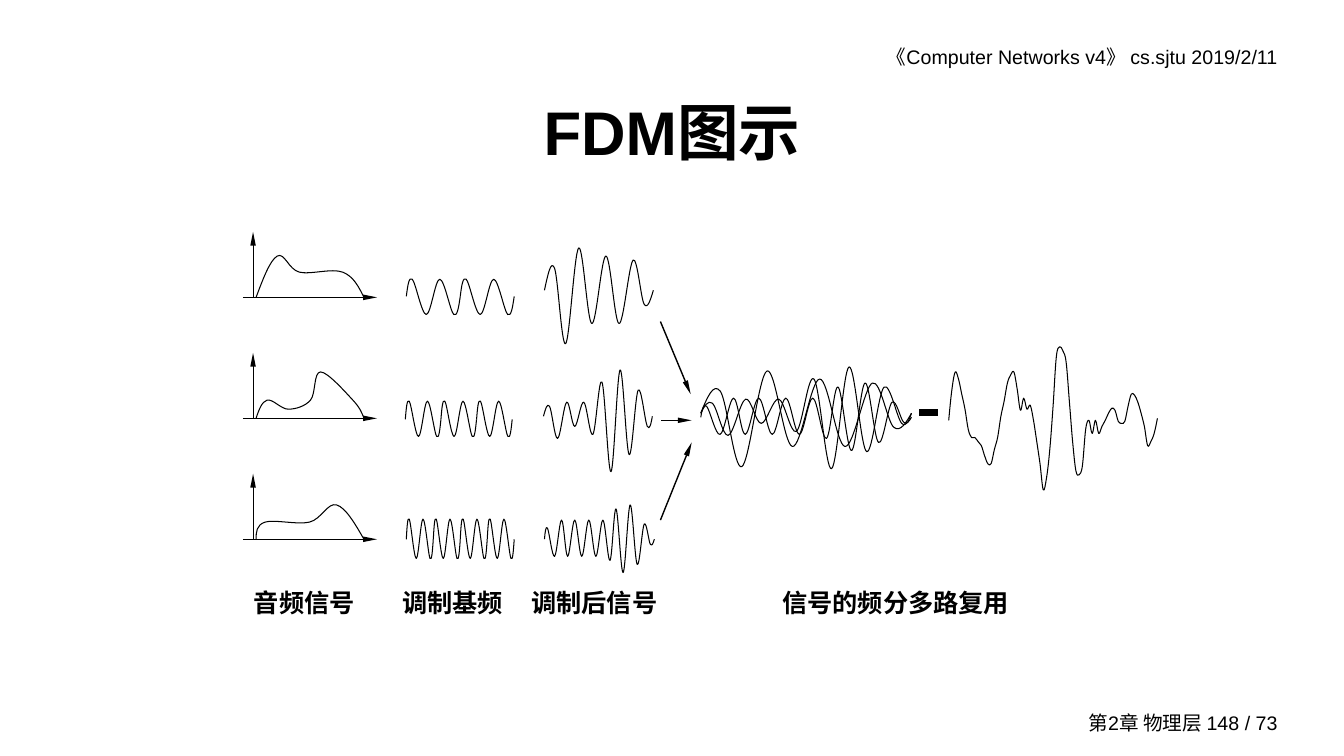
from lxml import etree
from pptx import Presentation
from pptx.dml.color import RGBColor
from pptx.enum.shapes import MSO_CONNECTOR
from pptx.enum.text import MSO_ANCHOR, PP_ALIGN
from pptx.oxml.ns import qn
from pptx.util import Inches, Pt

BLACK = RGBColor(0, 0, 0)
WHITE = RGBColor(255, 255, 255)
STRAIGHT = MSO_CONNECTOR.STRAIGHT
LEFT, CENTER, RIGHT = PP_ALIGN.LEFT, PP_ALIGN.CENTER, PP_ALIGN.RIGHT
TOP, MIDDLE = MSO_ANCHOR.TOP, MSO_ANCHOR.MIDDLE

prs = Presentation()
prs.slide_width, prs.slide_height = Inches(13.33), Inches(7.5)
slide = prs.slides.add_slide(prs.slide_layouts[6])
slide.background.fill.solid()
slide.background.fill.fore_color.rgb = WHITE


def add_curve(points):
    """Draw a smooth open curve (Catmull-Rom) through points in inches."""
    emu_points = [(Inches(x), Inches(y)) for x, y in points]
    builder = slide.shapes.build_freeform(*emu_points[0])
    builder.add_line_segments(emu_points[1:], close=False)
    curve = builder.convert_to_shape()
    curve.shadow.inherit = False
    curve.fill.background()
    curve.line.color.rgb = BLACK
    curve.line.width = Pt(0.75)

    # Turn each straight piece into a Bezier piece
    local = [(int(pt.get("x")), int(pt.get("y"))) for pt in curve._element.iter(qn("a:pt"))]
    last = len(local) - 1
    for i, piece in enumerate(list(curve._element.iter(qn("a:lnTo")))):
        before, start = local[max(i - 1, 0)], local[i]
        end, after = local[i + 1], local[min(i + 2, last)]
        leave = [s + (e - b) / 6 for b, s, e in zip(before, start, end)]
        arrive = [e - (a - s) / 6 for s, e, a in zip(start, end, after)]
        if i == 0:
            leave = [(s + c) / 2 for s, c in zip(start, arrive)]
        if i == last - 1:
            arrive = [(e + c) / 2 for e, c in zip(end, leave)]
        bezier = etree.Element(qn("a:cubicBezTo"))
        for x, y in (leave, arrive, end):
            etree.SubElement(bezier, qn("a:pt"), x=str(round(x)), y=str(round(y)))
        piece.getparent().replace(piece, bezier)


# Header, footer, title and column labels
CAPTIONS = [
    ("《Computer Networks v4》 cs.sjtu 2019/2/11", 7.03, 0.4, 5.74, 0.34, 14, False, RIGHT, TOP),
    ("第2章 物理层 148 / 73", 9.76, 7, 3.01, 0.33, 14, False, RIGHT, MIDDLE),
    ("FDM图示", 1, 0.67, 11.33, 1.25, 44, True, CENTER, MIDDLE),
    ("音频信号", 2.42, 5.78, 1.26, 0.4, 18, True, LEFT, TOP),
    ("调制基频", 3.89, 5.78, 1.26, 0.4, 18, True, LEFT, TOP),
    ("调制后信号", 5.17, 5.78, 1.49, 0.4, 18, True, LEFT, TOP),
    ("信号的频分多路复用", 7.66, 5.78, 2.75, 0.4, 18, True, LEFT, TOP),
]
for text, x, y, width, height, size, bold, align, anchor in CAPTIONS:
    caption = slide.shapes.add_textbox(Inches(x), Inches(y), Inches(width), Inches(height))
    frame = caption.text_frame
    frame.word_wrap = True
    frame.vertical_anchor = anchor
    frame.text = text
    paragraph = frame.paragraphs[0]
    paragraph.alignment = align
    font = paragraph.runs[0].font
    font.name, font.size, font.bold = "Arial", Pt(size), bold
    font.color.rgb = BLACK

# Axes of the audio spectra, arrows into the multiplexer, and the thick bar
straight_lines = []
for baseline in (2.95, 4.15, 5.35):
    straight_lines += [
        (2.51, baseline, 2.51, baseline - 0.65, 0.75, True),
        (2.41, baseline, 3.74, baseline, 0.75, True),
    ]
straight_lines += [
    (6.55, 3.19, 6.85, 3.91, 1, True),
    (6.56, 4.17, 6.86, 4.17, 1, True),
    (6.55, 5.16, 6.86, 4.39, 1, True),
    (9.12, 4.09, 9.3, 4.09, 5, False),
]
for x1, y1, x2, y2, weight, has_arrow in straight_lines:
    link = slide.shapes.add_connector(STRAIGHT, Inches(x1), Inches(y1), Inches(x2), Inches(y2))
    link.line.color.rgb = BLACK
    link.line.width = Pt(weight)
    if has_arrow:
        etree.SubElement(link.line._get_or_add_ln(), qn("a:tailEnd"),
                         type="triangle", w="sm", len="lg")
    etree.SubElement(link._element.spPr, qn("a:effectLst"))

# Audio signals
AUDIO_SPECTRA = [
    [(2.54, 2.95), (2.75, 2.54), (2.97, 2.7), (3.4, 2.7), (3.61, 2.95)],
    [(2.54, 4.15), (2.65, 3.97), (2.86, 4.06), (3.08, 3.97), (3.18, 3.69),
     (3.5, 3.97), (3.61, 4.15)],
    [(2.54, 5.35), (2.63, 5.18), (3.07, 5.18), (3.34, 5.01), (3.61, 5.35)],
]
for spectrum in AUDIO_SPECTRA:
    add_curve(spectrum)

# Carriers: equal tiles of two periods each
TILE_FRACTIONS = (0, 0.11, 0.37, 0.62, 0.88, 1)
CARRIERS = [  # left, middle height, full width, tiles, rise, fall
    (4.03, 2.94, 1.07, 2, 0.17, 0.18),
    (4.02, 4.16, 1.06, 3, 0.18, 0.17),
    (4.03, 5.35, 1.07, 4, 0.2, 0.19),
]
for left, middle, full_width, tiles, rise, fall in CARRIERS:
    swings = (0, -rise, fall, -rise, fall, 0)
    for tile in range(tiles):
        add_curve([(left + (tile + fraction) * full_width / tiles, middle + swing)
                   for fraction, swing in zip(TILE_FRACTIONS, swings)])

# Modulated signals, each repeated wider and overlaid in the multiplexed bundle
MODULATED = [  # shift down to the bundle, points
    (1.22, [(5.4, 2.88), (5.5, 2.66), (5.61, 3.41), (5.74, 2.46), (5.87, 3.21),
            (6.01, 2.54), (6.14, 3.21), (6.28, 2.58), (6.39, 3.02), (6.48, 2.88)]),
    (-0.03, [(5.39, 4.13), (5.45, 4.03), (5.53, 4.35), (5.62, 3.99), (5.7, 4.23),
             (5.79, 3.99), (5.88, 4.31), (5.97, 3.79), (6.06, 4.68), (6.15, 3.67),
             (6.24, 4.51), (6.33, 3.87), (6.42, 4.23), (6.47, 4.13)]),
    (-1.21, [(5.4, 5.35), (5.43, 5.24), (5.5, 5.52), (5.57, 5.16), (5.63, 5.52),
             (5.7, 5.16), (5.77, 5.52), (5.84, 5.16), (5.91, 5.52), (5.98, 5.16),
             (6.05, 5.56), (6.11, 5.05), (6.18, 5.68), (6.25, 5.01), (6.32, 5.6),
             (6.39, 5.2), (6.45, 5.4), (6.49, 5.35)]),
]
BUNDLE_LEFT, BUNDLE_WIDTH = 6.95, 2.09
for shift, signal in MODULATED:
    add_curve(signal)
    signal_left, signal_right = signal[0][0], signal[-1][0]
    stretch = BUNDLE_WIDTH / (signal_right - signal_left)
    add_curve([(BUNDLE_LEFT + (x - signal_left) * stretch, y + shift) for x, y in signal])

# Sum signal, sampled at equal steps
SUM_HEIGHTS = [
    4.17, 3.86, 3.69, 3.76, 3.91, 4.06, 4.26, 4.34, 4.34, 4.38,
    4.42, 4.52, 4.6, 4.6, 4.46, 4.34, 4.13, 3.98, 3.8, 3.72,
    3.69, 3.86, 4.07, 3.95, 4.06, 4.02, 4.17, 4.38, 4.6, 4.86,
    4.74, 4.46, 4.03, 3.54, 3.44, 3.48, 3.59, 3.98, 4.38, 4.67,
    4.71, 4.62, 4.26, 4.17, 4.3, 4.17, 4.3, 4.23, 4.17, 4.1,
    4.05, 4.07, 4.18, 4.2, 4.18, 4.03, 3.91, 3.92, 3.99, 4.1,
    4.23, 4.42, 4.38, 4.3, 4.15,
]
SUM_LEFT, SUM_WIDTH = 9.41, 2.07
sum_step = SUM_WIDTH / (len(SUM_HEIGHTS) - 1)
add_curve([(SUM_LEFT + i * sum_step, y) for i, y in enumerate(SUM_HEIGHTS)])

prs.save("out.pptx")
